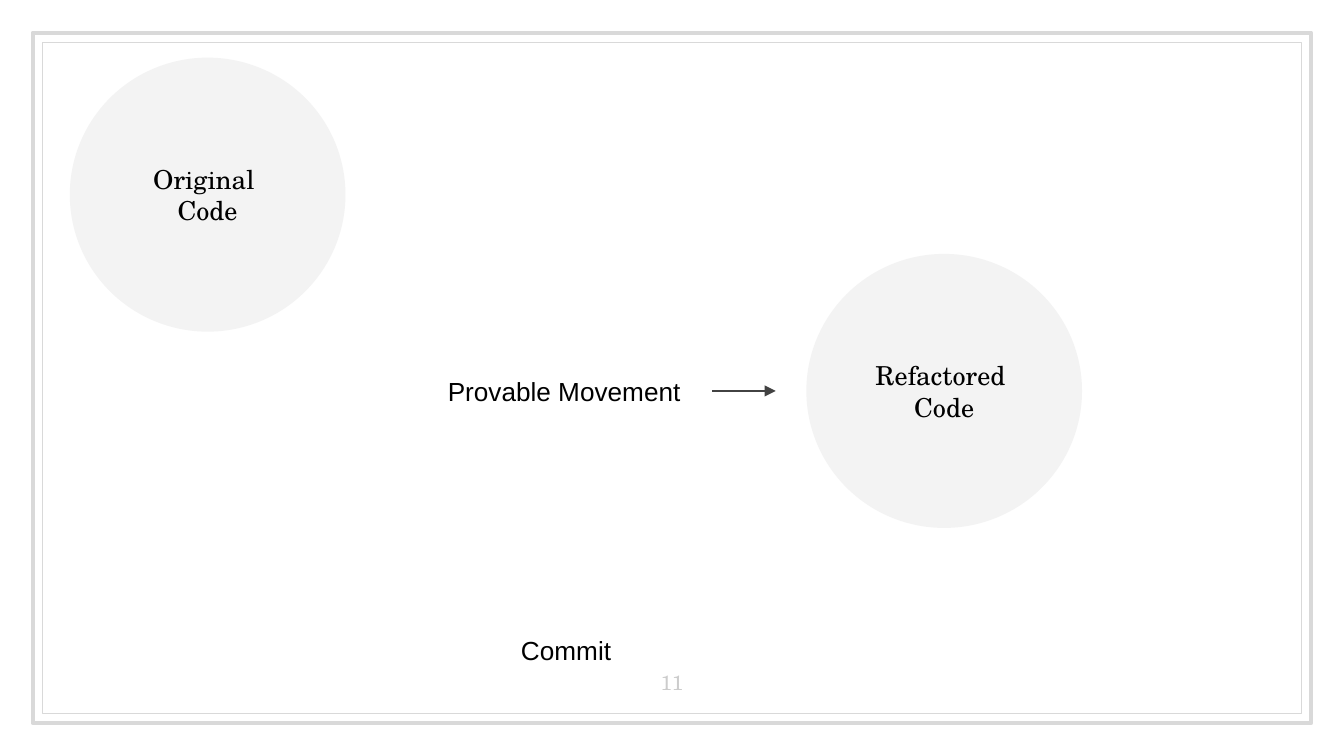
from dataclasses import dataclass

from lxml.etree import SubElement
from pptx import Presentation
from pptx.dml.color import RGBColor
from pptx.enum.shapes import MSO_CONNECTOR, MSO_SHAPE
from pptx.enum.text import MSO_ANCHOR, MSO_AUTO_SIZE, PP_ALIGN
from pptx.oxml.ns import qn
from pptx.util import Cm, Pt


@dataclass(frozen=True)
class Theme:
    serif: str = "TeX Gyre Schola"
    sans: str = "Arial"
    text: str = "000000"
    number: str = "CCCCCC"
    frame: str = "D9D9D9"
    circle: str = "F3F3F3"
    arrow: str = "424242"
    body_size: float = 14
    number_size: float = 11


@dataclass(frozen=True)
class Frame:
    inset: float
    weight: float


@dataclass(frozen=True)
class Circle:
    x: float
    y: float
    lines: tuple[str, ...]


@dataclass(frozen=True)
class Label:
    x: float
    y: float
    w: float
    text: str


T = Theme()
WIDTH, HEIGHT = 25.4, 14.29
CIRCLE_W, CIRCLE_H = 5.21, 5.18
LABEL_H = 0.86

FRAMES = [Frame(0.62, 2.25), Frame(0.8, 0.75)]
CIRCLES = [
    Circle(1.32, 1.09, ("Original ", "Code")),
    Circle(15.24, 4.8, ("Refactored ", "Code")),
]
LABELS = [
    Label(8.2, 6.96, 4.93, "Provable Movement"),
    Label(9.58, 11.86, 2.24, "Commit"),
]


def rgb(color: str) -> RGBColor:
    return RGBColor.from_string(color)


def write(tf, *lines: str, font: str = T.serif, size: float = T.body_size,
          color: str = T.text, anchor=MSO_ANCHOR.MIDDLE, wrap: bool = True,
          inset: float = 0.25) -> None:
    tf.word_wrap = wrap
    tf.vertical_anchor = anchor
    tf.margin_left = tf.margin_right = Cm(inset)
    tf.margin_top = tf.margin_bottom = Cm(inset)
    for i, line in enumerate(lines):
        p = tf.add_paragraph() if i else tf.paragraphs[0]
        p.alignment = PP_ALIGN.CENTER
        r = p.add_run()
        r.text = line
        r.font.name = font
        r.font.size = Pt(size)
        r.font.color.rgb = rgb(color)


def draw_frame(s, frame: Frame) -> None:
    sp = s.shapes.add_shape(
        MSO_SHAPE.RECTANGLE, Cm(frame.inset), Cm(frame.inset),
        Cm(WIDTH - 2 * frame.inset), Cm(HEIGHT - 2 * frame.inset))
    sp.shadow.inherit = False
    sp.fill.background()
    sp.line.color.rgb = rgb(T.frame)
    sp.line.width = Pt(frame.weight)


def draw_circle(s, circle: Circle) -> None:
    sp = s.shapes.add_shape(
        MSO_SHAPE.OVAL, Cm(circle.x), Cm(circle.y), Cm(CIRCLE_W), Cm(CIRCLE_H))
    sp.shadow.inherit = False
    sp.fill.solid()
    sp.fill.fore_color.rgb = rgb(T.circle)
    sp.line.fill.background()
    write(sp.text_frame, *circle.lines)


def draw_label(s, label: Label) -> None:
    sp = s.shapes.add_textbox(Cm(label.x), Cm(label.y), Cm(label.w), Cm(LABEL_H))
    write(sp.text_frame, label.text, font=T.sans, anchor=MSO_ANCHOR.TOP,
          wrap=False, inset=0.13)
    sp.text_frame.auto_size = MSO_AUTO_SIZE.SHAPE_TO_FIT_TEXT


def draw_arrow(s, x1: float, x2: float, y: float) -> None:
    cn = s.shapes.add_connector(
        MSO_CONNECTOR.STRAIGHT, Cm(x1), Cm(y), Cm(x2), Cm(y))
    cn.line.color.rgb = rgb(T.arrow)
    cn.line.width = Pt(0.75)
    SubElement(cn.line._get_or_add_ln(), qn("a:tailEnd"), type="triangle")
    SubElement(cn._element.spPr, qn("a:effectLst"))


def draw_number(s, text: str) -> None:
    w = 1.52
    sp = s.shapes.add_textbox(Cm((WIDTH - w) / 2), Cm(12.27), Cm(w), Cm(1.09))
    write(sp.text_frame, text, size=T.number_size, color=T.number,
          anchor=MSO_ANCHOR.BOTTOM)


def main() -> None:
    prs = Presentation()
    prs.slide_width, prs.slide_height = Cm(WIDTH), Cm(HEIGHT)
    s = prs.slides.add_slide(prs.slide_layouts[6])
    for frame in FRAMES:
        draw_frame(s, frame)
    for circle in CIRCLES:
        draw_circle(s, circle)
    draw_number(s, "11")
    for label in LABELS:
        draw_label(s, label)
    draw_arrow(s, 13.46, 14.66, CIRCLES[1].y + CIRCLE_H / 2)
    prs.save("out.pptx")


if __name__ == "__main__":
    main()
